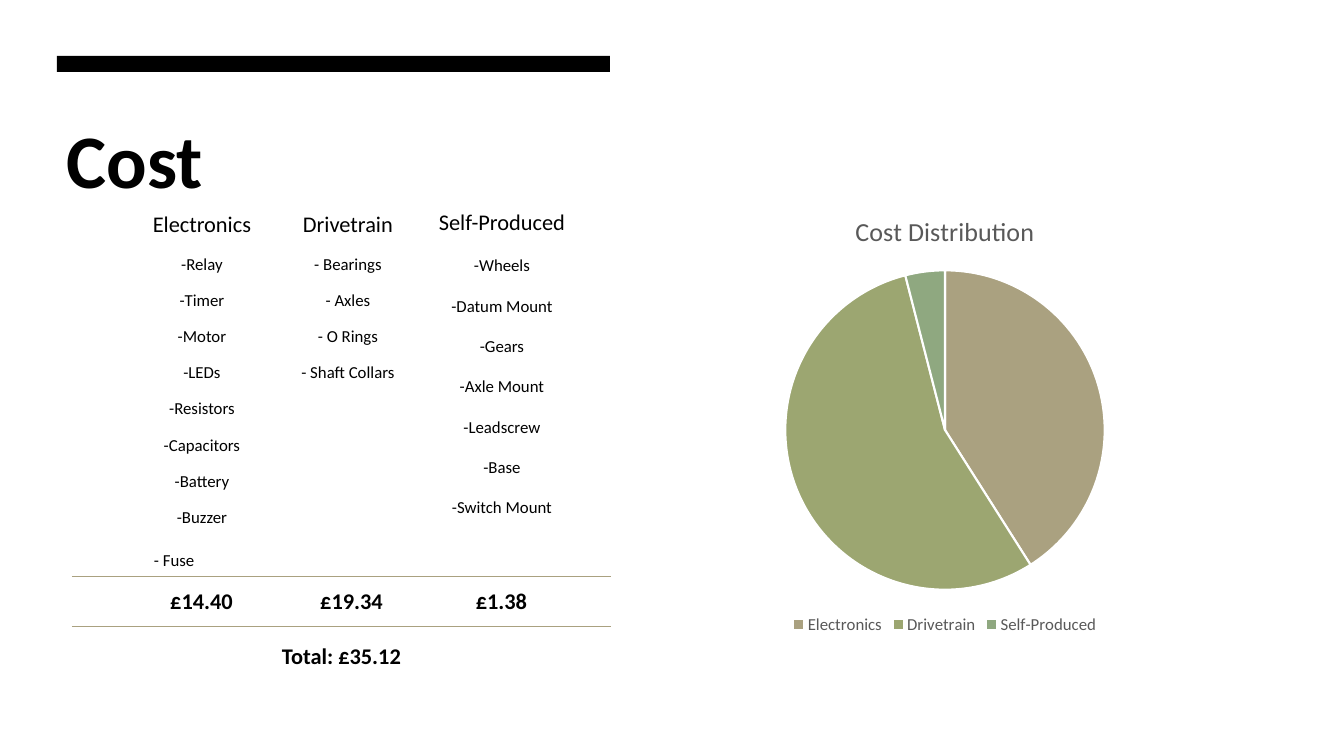
from lxml import etree
from pptx import Presentation
from pptx import util as u
from pptx.chart.data import CategoryChartData
from pptx.dml.color import RGBColor
from pptx.enum import chart as ch, shapes, text
from pptx.oxml.ns import qn

PX = 914400 / 100.8
FONT = "Calibri"
HUES = {"ink": "000000", "grey": "595959", "white": "FFFFFF",
        "sand": "AAA180", "olive": "9CA671", "sage": "8FA880"}


def px(n):
    return u.Emu(round(n * PX))


def hue(name):
    return RGBColor.from_string(HUES[name])


class Deck:
    def __init__(self, wide, high):
        self.prs = Presentation()
        self.prs.slide_width, self.prs.slide_height = px(wide), px(high)
        self.slide = self.prs.slides.add_slide(self.prs.slide_layouts[6])

    def style(self, font, size, color="ink", bold=False):
        look = {"name": FONT, "size": u.Pt(size), "bold": bold}
        for key, val in look.items():
            setattr(font, key, val)
        font.color.rgb = hue(color)

    def bar(self, *box):
        rect = self.slide.shapes.add_shape(
            shapes.MSO_SHAPE.RECTANGLE, *map(px, box))
        rect.shadow.inherit = False
        rect.fill.solid()
        rect.fill.fore_color.rgb = hue("ink")
        rect.line.fill.background()

    def rule(self, left, right, y):
        line = self.slide.shapes.add_connector(
            shapes.MSO_CONNECTOR.STRAIGHT, px(left), px(y), px(right), px(y))
        line.line.color.rgb = hue("sand")
        line.line.width = u.Pt(0.5)
        etree.SubElement(line._element.spPr, qn("a:effectLst"))

    def label(self, box, lines, size, bold=False, align="CENTER",
              rest=12, gap=0, lead=1.0):
        """First line at size, later lines at rest with gap before each."""
        frame = self.slide.shapes.add_textbox(*map(px, box)).text_frame
        frame.word_wrap = True
        for i, line in enumerate(lines):
            para = frame.add_paragraph() if i else frame.paragraphs[0]
            form = {"alignment": getattr(text.PP_ALIGN, align),
                    "line_spacing": lead, "space_before": u.Pt(gap if i else 0)}
            for key, val in form.items():
                setattr(para, key, val)
            run = para.add_run()
            run.text = line
            self.style(run.font, rest if i else size, bold=bold)
        return frame

    def pie(self, box, title, parts):
        data = CategoryChartData()
        data.categories = [name for name, _, _ in parts]
        data.add_series(title, [val for _, val, _ in parts])
        chart = self.slide.shapes.add_chart(
            ch.XL_CHART_TYPE.PIE, *map(px, box), data).chart
        self.style(chart.font, 10)
        chart.has_title = True
        chart.chart_title.include_in_layout = False
        head = chart.chart_title.text_frame
        head.text = title
        self.style(head.paragraphs[0].runs[0].font, 18.6, "grey")
        chart.has_legend = True
        chart.legend.position = ch.XL_LEGEND_POSITION.BOTTOM
        chart.legend.include_in_layout = False
        self.style(chart.legend.font, 12, "grey")
        plot = chart.plots[0]
        plot.vary_by_categories = True
        for i, (_, _, color) in enumerate(parts):
            form = plot.series[0].points[i].format
            form.fill.solid()
            form.fill.fore_color.rgb = hue(color)
            form.line.color.rgb = hue("white")
            form.line.width = u.Pt(1.5)


def main():
    deck = Deck(1344, 756)

    # Heading
    deck.bar(57, 56, 553, 16)
    deck.label((57, 108, 553, 537), ["Cost"], 54, bold=True, align="LEFT")

    # Part lists
    loose = {"gap": 10, "lead": 1.1}
    parts = deck.label((131, 203, 142, 458), [
        "Electronics", "-Relay", "-Timer", "-Motor", "-LEDs", "-Resistors",
        "-Capacitors", "-Battery", "-Buzzer", "- Fuse"], 16, **loose)
    fuse = parts.paragraphs[-1]
    fuse.alignment = text.PP_ALIGN.LEFT
    fuse.space_before = u.Pt(15)
    fuse._p.get_or_add_pPr().set("marL", str(px(13)))
    deck.label((277, 203, 142, 458), [
        "Drivetrain", "- Bearings", "- Axles", "- O Rings",
        "- Shaft Collars"], 16, **loose)
    deck.label((406, 203, 192, 323), [
        "Self-Produced", "-Wheels", "-Datum Mount", "-Gears", "-Axle Mount",
        "-Leadscrew", "-Base", "-Switch Mount"], 16, gap=14.4)

    # Prices between rules, and the total
    for y in (576, 626):
        deck.rule(72, 611, y)
    for i, price in enumerate(("£14.40", "£19.34", "£1.38")):
        deck.label((140 + 150 * i, 582, 123, 37), [price], 16, bold=True)
    deck.label((215, 637, 253, 37), ["Total: £35.12"], 16, bold=True)

    # Share of cost
    deck.pie((618, 194, 654, 445), "Cost Distribution", [
        ("Electronics", 41, "sand"), ("Drivetrain", 55, "olive"),
        ("Self-Produced", 4, "sage")])

    deck.prs.save("out.pptx")


if __name__ == "__main__":
    main()
